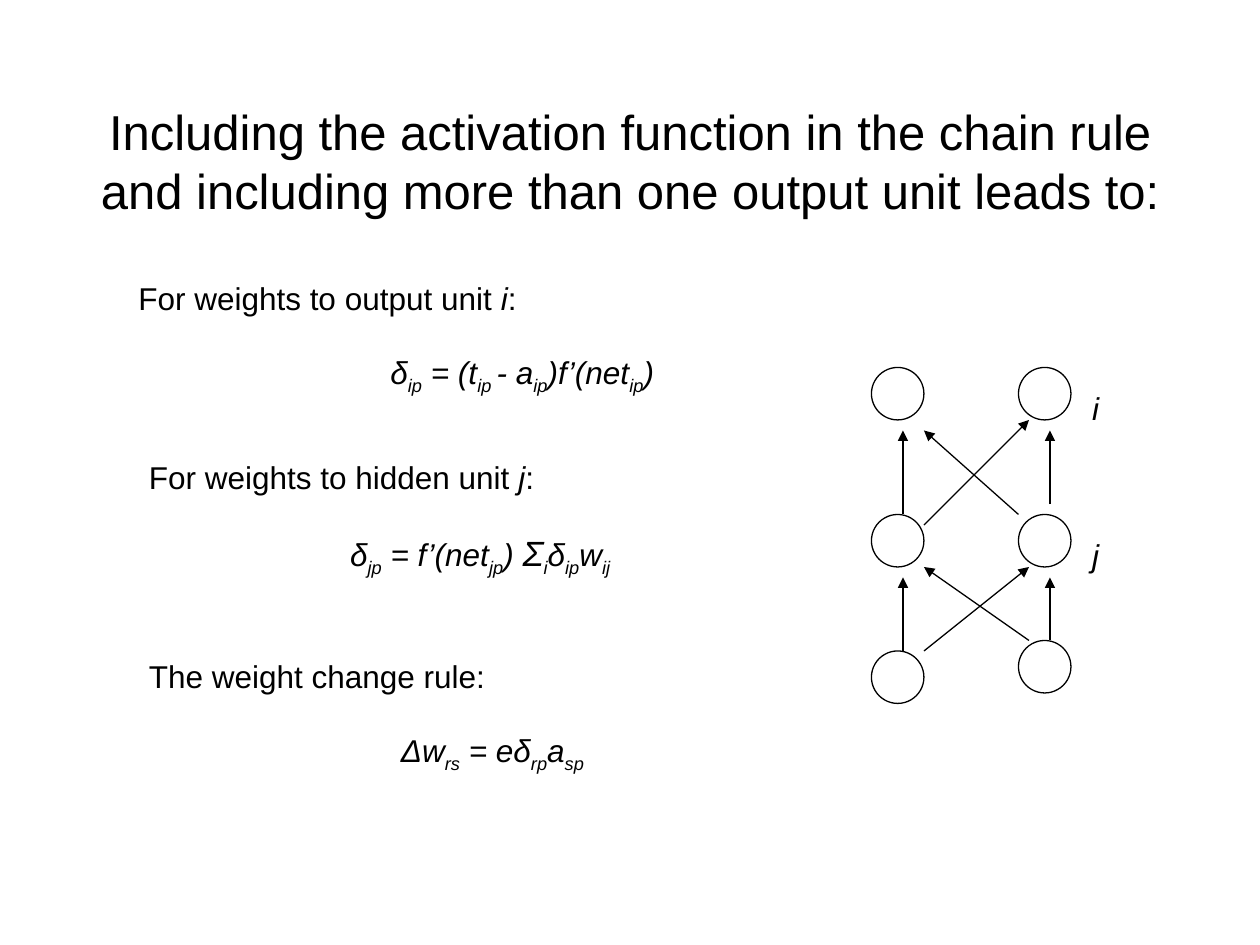
from dataclasses import dataclass
from itertools import product

from lxml.etree import SubElement
from pptx import Presentation
from pptx.dml.color import RGBColor
from pptx.enum.shapes import MSO_CONNECTOR, MSO_SHAPE
from pptx.enum.text import MSO_ANCHOR, MSO_AUTO_SIZE, PP_ALIGN
from pptx.oxml.ns import qn
from pptx.util import Pt

BLACK = RGBColor(0x00, 0x00, 0x00)
WHITE = RGBColor(0xFF, 0xFF, 0xFF)
FONT = "Arial"
TEXT_SIZE = 18
SUM_SIZE = 20
TITLE_SIZE = 28
LINE_WIDTH = 0.75
UNIT_SIZE = 30
LEFT_UNIT, RIGHT_UNIT = 498, 582
OUTPUT_ROW, HIDDEN_ROW = 210, 294


@dataclass(frozen=True)
class Rule:
    left: float
    top: float
    width: float
    heading: str
    formula: str
    indent: float


@dataclass(frozen=True)
class Arrow:
    start_x: float
    start_y: float
    end_x: float
    end_y: float


RULES = (
    Rule(72, 156, 420, "For weights to output unit |i|:",
         "δ|ip| = (t|ip |- a|ip|)f’(net|ip|)", 144),
    Rule(78, 258, 284, "For weights to hidden unit |j|:",
         "δ|jp| = f’(net|jp|) ||Σ|i|δ|ip|w|ij", 115),
    Rule(78, 372, 284, "The weight change rule:", "Δw|rs| = eδ|rp|a|sp", 144),
)
UNITS = (
    *product((LEFT_UNIT, RIGHT_UNIT), (OUTPUT_ROW, HIDDEN_ROW)),
    (LEFT_UNIT, 372),
    (RIGHT_UNIT, 366),
)
ARROWS = (
    Arrow(516, 294, 516, 246),
    Arrow(528, 300, 588, 240),
    Arrow(600, 288, 600, 246),
    Arrow(582, 294, 528, 246),
    Arrow(516, 372, 516, 330),
    Arrow(528, 372, 588, 324),
    Arrow(588, 366, 528, 324),
    Arrow(600, 366, 600, 330),
)
ROW_LABELS = (("i", 219), ("j", 303))


def format_span(span, size: float, italic: bool = False) -> None:
    span.font.name = FONT
    span.font.size = Pt(size)
    span.font.italic = italic
    span.font.color.rgb = BLACK


def add_heading(para, text: str) -> None:
    for index, piece in enumerate(text.split("|")):
        span = para.add_run()
        span.text = piece
        format_span(span, TEXT_SIZE, italic=index % 2 == 1)


def add_formula(para, text: str) -> None:
    for index, piece in enumerate(text.split("|")):
        if not piece:
            continue
        span = para.add_run()
        span.text = piece
        format_span(span, SUM_SIZE if piece == "Σ" else TEXT_SIZE, italic=True)
        if index % 2:
            span.font._element.set("baseline", "-25000")


def add_text_frame(page, left: float, top: float, width: float, height: float):
    box = page.shapes.add_textbox(Pt(left), Pt(top), Pt(width), Pt(height))
    box.text_frame.word_wrap = True
    return box.text_frame


def add_rule(page, rule: Rule) -> None:
    frame = add_text_frame(page, rule.left, rule.top, rule.width, 72)
    add_heading(frame.paragraphs[0], rule.heading)
    para = frame.add_paragraph()
    para.space_before = Pt(20.7)
    properties = para._p.get_or_add_pPr()
    properties.set("marL", str(Pt(rule.indent)))
    properties.set("indent", "0")
    add_formula(para, rule.formula)


def add_unit(page, left: float, top: float) -> None:
    unit = page.shapes.add_shape(
        MSO_SHAPE.OVAL, Pt(left), Pt(top), Pt(UNIT_SIZE), Pt(UNIT_SIZE))
    unit.shadow.inherit = False
    unit.fill.solid()
    unit.fill.fore_color.rgb = WHITE
    unit.line.color.rgb = BLACK
    unit.line.width = Pt(LINE_WIDTH)


def add_arrow(page, arrow: Arrow) -> None:
    connector = page.shapes.add_connector(
        MSO_CONNECTOR.STRAIGHT, Pt(arrow.start_x), Pt(arrow.start_y),
        Pt(arrow.end_x), Pt(arrow.end_y))
    connector.line.color.rgb = BLACK
    connector.line.width = Pt(LINE_WIDTH)
    SubElement(connector.line._get_or_add_ln(), qn("a:tailEnd"), type="triangle")
    SubElement(connector._element.spPr, qn("a:effectLst"))


def add_row_label(page, text: str, top: float) -> None:
    para = add_text_frame(page, 617, top, 19, 29).paragraphs[0]
    para.text = text
    format_span(para.runs[0], TEXT_SIZE, italic=True)


def set_title(page, text: str) -> None:
    title = page.shapes.title
    title.left, title.top = Pt(36), Pt(21.6)
    title.width, title.height = Pt(648), Pt(140.4)
    frame = title.text_frame
    frame.text = text
    frame.word_wrap = True
    frame.auto_size = MSO_AUTO_SIZE.NONE
    frame.vertical_anchor = MSO_ANCHOR.MIDDLE
    para = frame.paragraphs[0]
    para.alignment = PP_ALIGN.CENTER
    format_span(para.runs[0], TITLE_SIZE)


def main() -> None:
    deck = Presentation()
    deck.slide_width, deck.slide_height = Pt(720), Pt(540)
    page = deck.slides.add_slide(deck.slide_layouts[5])
    set_title(page, "Including the activation function in the chain rule "
                    "and including more than one output unit leads to:")
    for left, top in UNITS:
        add_unit(page, left, top)
    for arrow in ARROWS:
        add_arrow(page, arrow)
    for rule in RULES:
        add_rule(page, rule)
    for text, top in ROW_LABELS:
        add_row_label(page, text, top)
    deck.save("out.pptx")


if __name__ == "__main__":
    main()
